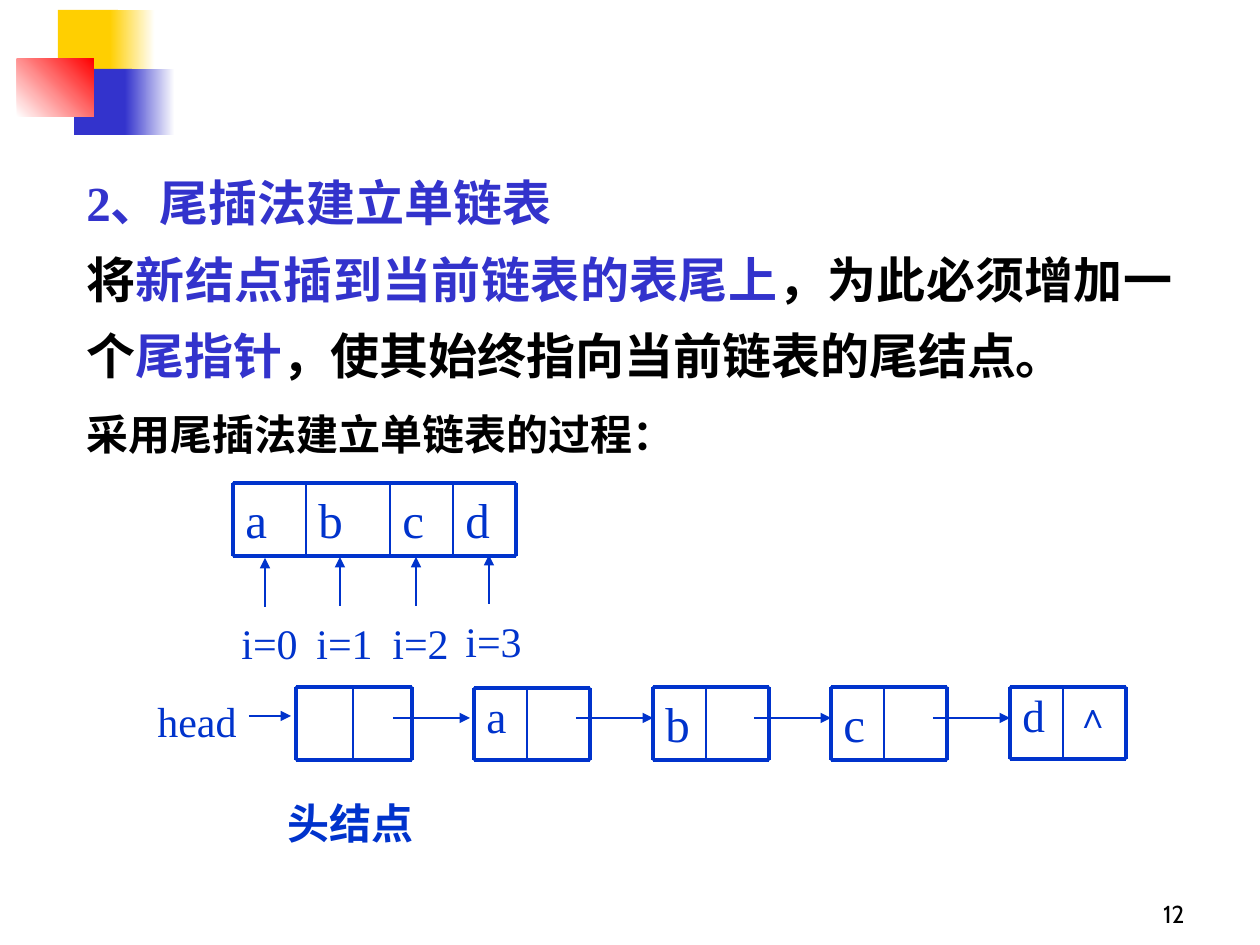
from pptx import Presentation
from pptx import util as u
from pptx.dml.color import RGBColor
from pptx.enum import shapes, text
from pptx.oxml.ns import qn
from lxml import etree

SCALE = u.Inches(1) / 126
WHITE = RGBColor(0xFF, 0xFF, 0xFF)
BLACK = RGBColor(0, 0, 0)
GOLD = RGBColor(0xFF, 0xCF, 0x01)
INDIGO = RGBColor(0x33, 0x33, 0xCC)
RED = RGBColor(0xFF, 0, 0)
BLUE = RGBColor(0, 0x33, 0xCC)
SERIF = "Times New Roman"


def px(*lengths):
    return [u.Emu(round(length * SCALE)) for length in lengths]


def write(frame, paragraphs, size=24, color=BLUE, bold=False, font=SERIF,
          align=text.PP_ALIGN.LEFT, anchor=text.MSO_ANCHOR.TOP, spacing=None):
    frame.word_wrap = True
    frame.vertical_anchor = anchor
    for index, parts in enumerate(paragraphs):
        paragraph = frame.paragraphs[0] if index == 0 else frame.add_paragraph()
        paragraph.alignment = align
        paragraph.line_spacing = spacing
        for words, tint in parts:
            run = paragraph.add_run()
            run.text = words
            run.font.name = font
            run.font.size = u.Pt(size)
            run.font.bold = bold
            run.font.color.rgb = tint or color


def add_label(slide, box, words, **style):
    label = slide.shapes.add_textbox(*px(*box))
    write(label.text_frame, [[(words, None)]], **style)


def add_box(slide, box):
    rect = slide.shapes.add_shape(shapes.MSO_SHAPE.RECTANGLE, *px(*box))
    rect.shadow.inherit = False
    return rect


def add_line(slide, ends, width=0.75, arrow=False):
    line = slide.shapes.add_connector(shapes.MSO_CONNECTOR.STRAIGHT, *px(*ends))
    line.line.color.rgb = BLUE
    line.line.width = u.Pt(width)
    properties = line._element.spPr
    if arrow:
        outline = properties.find(qn("a:ln"))
        etree.SubElement(outline, qn("a:tailEnd"), type="triangle")
    etree.SubElement(properties, qn("a:effectLst"))


def add_ornament(slide, left, top):
    tiles = [
        ((41, 0, 60, 66), GOLD, None, 0),
        ((93, 0, 45, 66), GOLD, WHITE, 0),
        ((57, 59, 58, 66), INDIGO, None, 0),
        ((108, 59, 50, 66), INDIGO, WHITE, 0),
        ((0, 49, 77, 58), WHITE, RED, 45),
    ]
    for (x, y, width, height), start, end, angle in tiles:
        tile = add_box(slide, (left + x, top + y, width, height))
        tile.line.fill.background()
        if end is None:
            tile.fill.solid()
            tile.fill.fore_color.rgb = start
        else:
            tile.fill.gradient()
            tile.fill.gradient_angle = angle
            for stop, tint in zip(tile.fill.gradient_stops, (start, end)):
                stop.color.rgb = tint


def add_explanation(slide, box):
    body = slide.shapes.add_textbox(*px(*box))
    paragraphs = [
        [("2、尾插法建立单链表", INDIGO)],
        [("将", None), ("新结点插到当前链表的表尾上", INDIGO),
         ("，为此必须增加一个", None), ("尾指针", INDIGO),
         ("，使其始终指向当前链表的尾结点。", None)],
    ]
    write(body.text_frame, paragraphs, size=28, color=BLACK, bold=True,
          align=text.PP_ALIGN.JUSTIFY, spacing=1.3)


def add_cells(slide, left, top, height, cells):
    x, edges = left, [left]
    for width, words, style in cells:
        cell = add_box(slide, (x, top, width, height))
        cell.fill.background()
        cell.line.color.rgb = BLUE
        cell.line.width = u.Pt(0.75)
        if words:
            write(cell.text_frame, [[(words, None)]], **style)
        x += width
        edges.append(x)
    for y in (top, top + height):
        add_line(slide, (left, y, x, y), 2.25)
    for edge in edges:
        add_line(slide, (edge, top, edge, top + height),
                 2.25 if edge in (left, x) else 1)


def add_array(slide, left, top):
    letters = {"size": 28}
    add_cells(slide, left, top, 73, [(73, "a", letters), (84, "b", letters),
                                     (63, "c", letters), (63, "d", letters)])
    pointers = [(32, 0), (107, -1), (183, -1), (256, -3)]
    for index, (x, shift) in enumerate(pointers):
        tail = top + 124 + shift
        add_line(slide, (left + x, tail, left + x, tail - 49), arrow=True)
        add_label(slide, (left + x - 36, top + 128 + min(shift + 1, 0), 84, 63),
                  f"i={index}")


def add_linked_list(slide, left, top):
    letters, tight = {"size": 28}, {"size": 25.9, "spacing": 0.9}
    caret = {"size": 20, "bold": True}
    nodes = [
        (0, 73, [(57, "", {}), (59, "", {})]),
        (1, 72, [(53, "a", tight), (63, "", {})]),
        (0, 73, [(53, "b", letters), (63, "", {})]),
        (0, 73, [(53, "c", letters), (63, "", {})]),
        (0, 72, [(53, "d", tight), (63, "∧", caret)]),
    ]
    add_label(slide, (left - 151, top + 2, 116, 63), "head")
    add_line(slide, (left - 47, top + 29, left - 5, top + 29), arrow=True)
    add_label(slide, (left - 21, top + 104, 168, 63), "头结点", bold=True)
    for index, (drop, height, cells) in enumerate(nodes):
        x = left + index * 357 // 2
        add_cells(slide, x, top + drop, height, cells)
        if index:
            tip = x - 4 if index == 1 else x
            add_line(slide, (tip - 77, top + 31, tip, top + 31), arrow=True)


def main():
    deck = Presentation()
    deck.slide_width, deck.slide_height = px(1260, 945)
    slide = deck.slides.add_slide(deck.slide_layouts[6])
    add_ornament(slide, 17, 10)
    add_explanation(slide, (74, 149, 1111, 242))
    add_label(slide, (74, 402, 609, 63), "采用尾插法建立单链表的过程：",
              color=BLACK, bold=True)
    add_array(slide, 233, 483)
    add_linked_list(slide, 296, 687)
    add_label(slide, (935, 872, 262, 63), "12", size=14, color=BLACK,
              font="Cabin", align=text.PP_ALIGN.RIGHT,
              anchor=text.MSO_ANCHOR.BOTTOM)
    deck.save("out.pptx")


if __name__ == "__main__":
    main()
